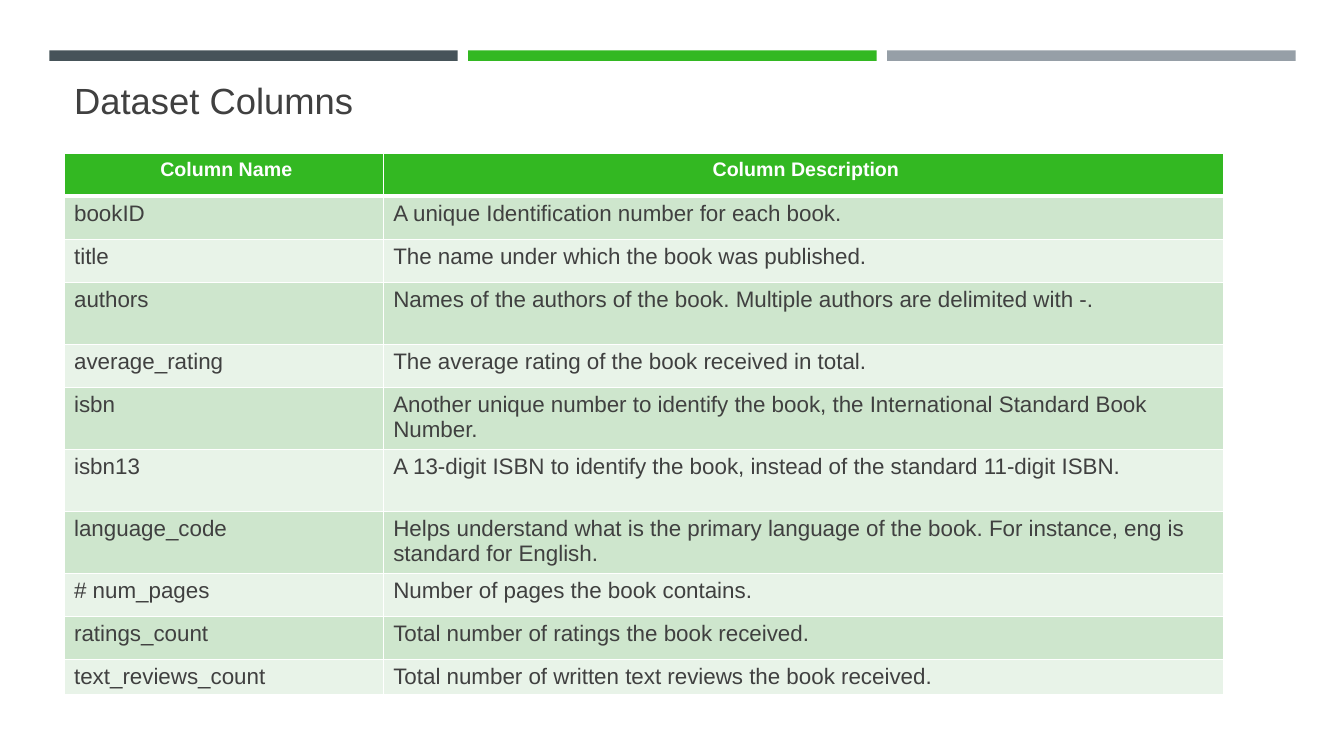
import pptx
import pptx.dml.color
import pptx.enum.shapes
import pptx.enum.text
import pptx.oxml
import pptx.oxml.ns
import pptx.util

RGBColor = pptx.dml.color.RGBColor
Align = pptx.enum.text.PP_ALIGN

WHITE = RGBColor(0xFF, 0xFF, 0xFF)
INK = RGBColor(0x40, 0x40, 0x40)
SLATE = RGBColor(0x46, 0x53, 0x59)
GREEN = RGBColor(0x33, 0xB8, 0x22)
GREY = RGBColor(0x96, 0x9F, 0xA7)
BAND_DARK = RGBColor(0xCE, 0xE6, 0xCD)
BAND_LIGHT = RGBColor(0xE8, 0xF3, 0xE8)

PX = 9525  # EMU per px, 96 px to the inch
TITLE_ONLY = 5

HEADER = (" Column Name", " Column Description")
COLUMNS = [
    ("bookID", "A unique Identification number for each book."),
    ("title", "The name under which the book was published."),
    ("authors", "Names of the authors of the book. Multiple authors are delimited with -."),
    ("average_rating", "The average rating of the book received in total."),
    ("isbn", "Another unique number to identify the book, the International Standard Book Number."),
    ("isbn13", "A 13-digit ISBN to identify the book, instead of the standard 11-digit ISBN."),
    ("language_code", "Helps understand what is the primary language of the book. "
                      "For instance, eng is standard for English."),
    ("# num_pages", "Number of pages the book contains."),
    ("ratings_count", "Total number of ratings the book received."),
    ("text_reviews_count", "Total number of written text reviews the book received."),
]
COLUMN_WIDTHS = (304, 800)
ROW, TALL_ROW, LAST_ROW = 41, 59, 33
ROW_HEIGHTS = [ROW] * 3 + [TALL_ROW, ROW] + [TALL_ROW] * 3 + [ROW] * 2 + [LAST_ROW]


def px(*lengths):
    return [pptx.util.Emu(length * PX) for length in lengths]


class SlideBuilder:
    title_font = {"name": "Arial", "size": pptx.util.Pt(26), "bold": False}
    header_font = {"name": "Arial", "size": pptx.util.Pt(14), "bold": True}
    body_font = {"name": "Arial", "size": pptx.util.Pt(16), "bold": False}

    def __init__(self, slide):
        self.slide = slide

    def set_text(self, frame, text, font, color, align):
        frame.text = text
        paragraph = frame.paragraphs[0]
        paragraph.alignment = align
        run_font = paragraph.runs[0].font
        for attribute, value in font.items():
            setattr(run_font, attribute, value)
        run_font.color.rgb = color

    def title(self, text, box):
        title = self.slide.shapes.title
        title.left, title.top, title.width, title.height = px(*box)
        title.text_frame.vertical_anchor = pptx.enum.text.MSO_ANCHOR.BOTTOM
        self.set_text(title.text_frame, text, self.title_font, INK, Align.LEFT)

    def bar(self, box, color):
        bar = self.slide.shapes.add_shape(
            pptx.enum.shapes.MSO_SHAPE.RECTANGLE, *px(*box))
        bar.shadow.inherit = False
        bar.fill.solid()
        bar.fill.fore_color.rgb = color
        bar.line.fill.background()

    def borders(self, cell, **widths):
        """Draw white borders; widths are points by side, in the order L, R, T, B."""
        properties = cell._tc.get_or_add_tcPr()
        for position, (side, width) in enumerate(widths.items()):
            properties.insert(position, pptx.oxml.parse_xml(
                f'<a:ln{side} {pptx.oxml.ns.nsdecls("a")} w="{pptx.util.Pt(width)}">'
                f'<a:solidFill><a:srgbClr val="{WHITE}"/></a:solidFill></a:ln{side}>'))

    def table(self, rows, left, top, widths, heights):
        box = px(left, top, sum(widths), sum(heights))
        table = self.slide.shapes.add_table(len(rows), len(widths), *box).table
        table.horz_banding = False
        for column, width in zip(table.columns, px(*widths)):
            column.width = width
        for row, height in zip(table.rows, px(*heights)):
            row.height = height
        for r, texts in enumerate(rows):
            if r == 0:
                fill, style = GREEN, (self.header_font, WHITE, Align.CENTER)
            else:
                fill = BAND_DARK if r % 2 else BAND_LIGHT
                style = (self.body_font, INK, Align.LEFT)
            for c, text in enumerate(texts):
                cell = table.cell(r, c)
                cell.fill.solid()
                cell.fill.fore_color.rgb = fill
                self.set_text(cell.text_frame, text, *style)
                self.borders(cell, L=1, R=1, T=3 if r == 1 else 1, B=3 if r == 0 else 1)


def main():
    deck = pptx.Presentation()
    deck.slide_width, deck.slide_height = px(1280, 720)
    builder = SlideBuilder(deck.slides.add_slide(deck.slide_layouts[TITLE_ONLY]))
    for i, color in enumerate((SLATE, GREEN, GREY)):
        builder.bar((47 + 399 * i, 48, 389, 10), color)
    builder.title("Dataset Columns", (61, 64, 1116, 57))
    builder.table([HEADER, *COLUMNS], 61, 146, COLUMN_WIDTHS, ROW_HEIGHTS)
    deck.save("out.pptx")


if __name__ == "__main__":
    main()
